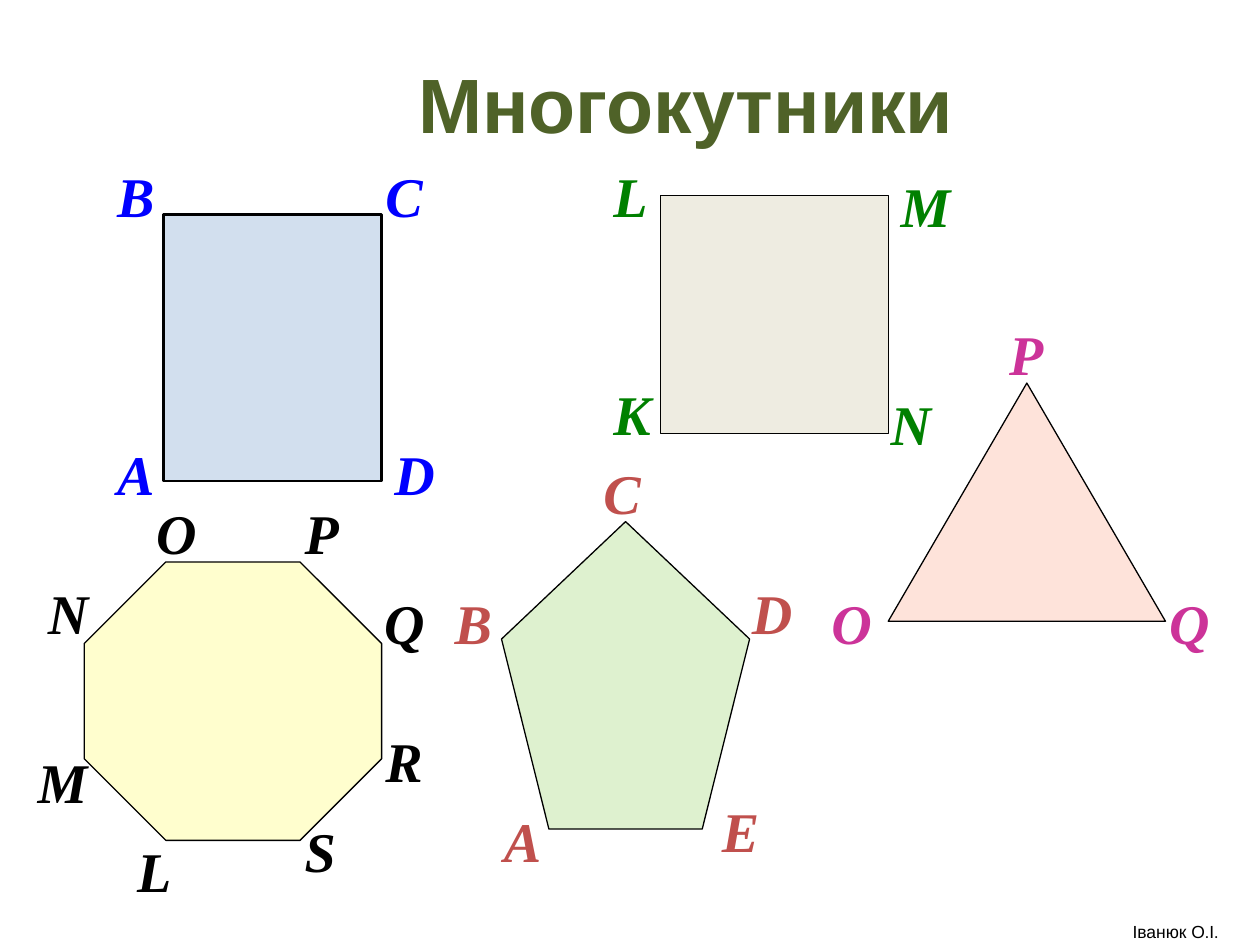
from pptx import Presentation
from pptx.dml.color import RGBColor
from pptx.enum import shapes, text
from pptx.util import Pt

BLACK = RGBColor(0x00, 0x00, 0x00)
OLIVE = RGBColor(0x4F, 0x62, 0x28)
BLUE = RGBColor(0x00, 0x00, 0xFF)
GREEN = RGBColor(0x00, 0x80, 0x00)
MAGENTA = RGBColor(0xCC, 0x33, 0x99)
RED = RGBColor(0xC0, 0x50, 0x4D)
PALE_BLUE = RGBColor(0xD2, 0xDF, 0xEE)
PALE_YELLOW = RGBColor(0xFF, 0xFE, 0xCE)
PALE_PINK = RGBColor(0xFE, 0xE3, 0xDA)
PALE_GREY = RGBColor(0xEE, 0xEC, 0xE1)
PALE_GREEN = RGBColor(0xDE, 0xF1, 0xCF)

SERIF, SANS, FOOTER_DOT = "Times New Roman", "Arial", "TeX Gyre Pagella"
LABEL_HEIGHT = 46
# Label widths follow the letter widths; the rest are 35 pt
LABEL_WIDTHS = {"M": 42.5, "L": 34, "P": 34, "S": 32.5,
                "D": 37.5, "N": 37.5, "O": 37.5, "Q": 37.5}


def add_text(parent, box, runs, size, color, bold=False, italic=False,
             align=text.PP_ALIGN.LEFT, anchor=text.MSO_ANCHOR.TOP, wrap=True):
    """Place one line of text; runs are (wording, font name) pairs."""
    textbox = parent.add_textbox(*map(Pt, box))
    frame = textbox.text_frame
    frame.word_wrap = wrap
    frame.vertical_anchor = anchor
    if not wrap:
        frame.auto_size = text.MSO_AUTO_SIZE.SHAPE_TO_FIT_TEXT
    line = frame.paragraphs[0]
    line.alignment = align
    for wording, font_name in runs:
        run = line.add_run()
        run.text = wording
        run.font.name = font_name
        run.font.size = Pt(size)
        run.font.bold = bold
        run.font.italic = italic
        run.font.color.rgb = color


def add_polygon(parent, preset, box, fill, label_color, vertices,
                line_width=0.75, adjustment=None):
    """Draw a polygon and its vertex letters, offset from the box corner."""
    left, top, _, _ = box
    polygon = parent.add_shape(preset, *map(Pt, box))
    polygon.shadow.inherit = False
    polygon.fill.solid()
    polygon.fill.fore_color.rgb = fill
    polygon.line.color.rgb = BLACK
    polygon.line.width = Pt(line_width)
    if adjustment is not None:
        polygon.adjustments[0] = adjustment
    for letter, dx, dy in vertices:
        label_box = (left + dx, top + dy,
                     LABEL_WIDTHS.get(letter, 35), LABEL_HEIGHT)
        add_text(parent, label_box, [(letter, SERIF)], 32, label_color,
                 bold=True, italic=True, wrap=False)


def add_title(parent, box):
    add_text(parent, box, [("Многокутники ", SANS)], 44, OLIVE, bold=True,
             align=text.PP_ALIGN.CENTER, anchor=text.MSO_ANCHOR.MIDDLE)


def add_author(parent, box):
    name = [("Іванюк О", SANS), (".", FOOTER_DOT),
            ("І", SANS), (".", FOOTER_DOT)]
    add_text(parent, box, name, 10, BLACK, align=text.PP_ALIGN.CENTER)


def main():
    deck = Presentation()
    deck.slide_width, deck.slide_height = Pt(720), Pt(540)
    slide = deck.slides.add_slide(deck.slide_layouts[6])
    canvas = slide.shapes
    preset = shapes.MSO_SHAPE

    add_title(canvas, (112.3, 21.6, 571.7, 74.2))

    # Rectangle ABCD
    add_polygon(canvas, preset.RECTANGLE, (93.6, 122.4, 124.6, 152.6),
                PALE_BLUE, BLUE,
                [("D", 124.6, 125.3), ("С", 119.5, -33.8),
                 ("В", -33.8, -33.8), ("А", -33.8, 125.3)], line_width=1.5)

    # Octagon LMNOPQRS
    add_polygon(canvas, preset.OCTAGON, (48.2, 321.1, 169.9, 159.1),
                PALE_YELLOW, BLACK,
                [("M", -33.8, 102.3), ("N", -28, 5.8), ("O", 33.9, -39.6),
                 ("P", 118.8, -39.6), ("Q", 164.2, 11.5), ("L", 23.1, 153.4),
                 ("R", 164.9, 90.7), ("S", 118.8, 141.9)], adjustment=0.293)

    # Triangle OPQ
    add_polygon(canvas, preset.ISOSCELES_TRIANGLE,
                (507.6, 218.9, 158.4, 136.1), PALE_PINK, MAGENTA,
                [("P", 61.9, -39.6), ("O", -39.6, 113.7),
                 ("Q", 153.4, 113.7)])

    # Square KLMN
    add_polygon(canvas, preset.RECTANGLE, (377.3, 111.6, 130.3, 136.1),
                PALE_GREY, GREEN,
                [("L", -33.9, -23), ("K", -33.9, 101.5),
                 ("M", 130.3, -17.3), ("N", 124.5, 107.3)])

    # Pentagon ABCDE, grouped with its letters
    pentagon_group = canvas.add_group_shape()
    add_polygon(pentagon_group.shapes, preset.REGULAR_PENTAGON,
                (286.6, 298.1, 141.8, 175.7), PALE_GREEN, RED,
                [("D", 136, 28.8), ("Е", 118.8, 153.3), ("А", -5.8, 159.1),
                 ("В", -33.9, 34.5), ("С", 51.1, -39.6)])

    add_author(canvas, (623.5, 522.7, 96.5, 17.3))
    deck.save("out.pptx")


if __name__ == "__main__":
    main()
